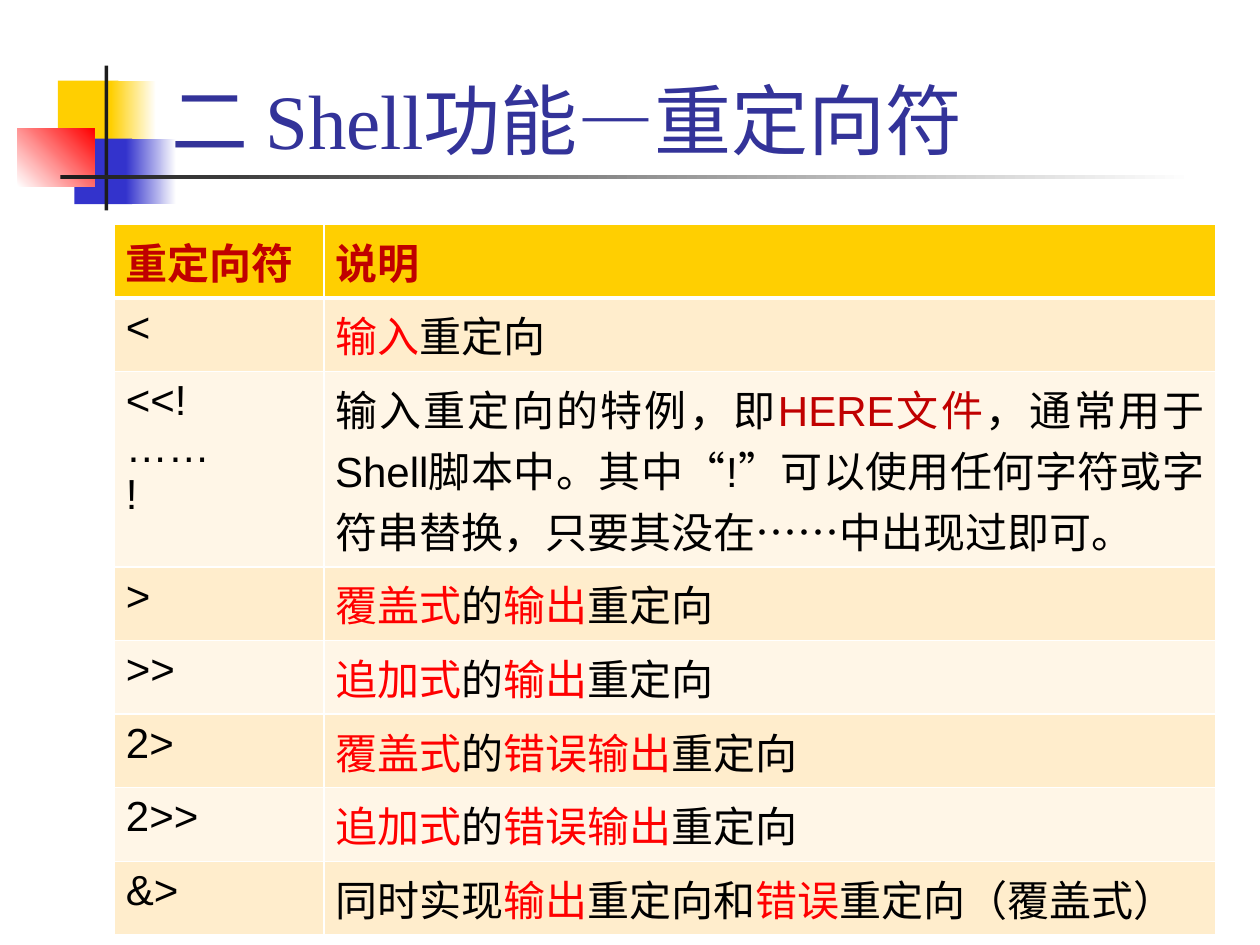
from lxml import etree
from pptx import Presentation, util as u
from pptx.dml.color import RGBColor
from pptx.enum import shapes, text
from pptx.oxml.ns import qn

HUES = dict(gold="FFCF01", blue="3333CC", red="FF0000", ink="1C1C1C",
            white="FFFFFF", title="333399", dark="C00000", black="000000",
            odd="FFEDCC", even="FFF6E7")
HEAD = ("重定向符", "说明")
# Text between asterisks is set in the accent colour.
ROWS = [
    ("<", "*输入*重定向"),
    ("<<!\n……\n!", "输入重定向的特例，即*HERE文件*，通常用于Shell脚本中。"
     "其中“!”可以使用任何字符或字符串替换，只要其没在……中出现过即可。"),
    (">", "*覆盖式*的*输出*重定向"),
    (">>", "*追加式*的*输出*重定向"),
    ("2>", "*覆盖式*的*错误输出*重定向"),
    ("2>>", "*追加式*的*错误输出*重定向"),
    ("&>", "同时实现*输出*重定向和*错误*重定向（覆盖式）"),
]
LONG = 2  # table row with the three-line entry


def rgb(name):
    return RGBColor.from_string(HUES[name])


def write(frame, words, size=24, face="Arial", hue="black", accent="red",
          bold=False, align=text.PP_ALIGN.LEFT):
    frame.word_wrap = True
    for i, line in enumerate(words.split("\n")):
        para = frame.paragraphs[0] if i == 0 else frame.add_paragraph()
        para.alignment = align
        for j, part in enumerate(line.split("*")):
            if part:
                run = para.add_run()
                run.text = part
                font = run.font
                font.size, font.name, font.bold = u.Pt(size), face, bold
                font.color.rgb = rgb(accent if j % 2 else hue)


def block(slide, box, hue, end=None, angle=0):
    """Borderless rectangle, solid or fading from hue to end."""
    shape = slide.shapes.add_shape(shapes.MSO_SHAPE.RECTANGLE,
                                   *map(u.Inches, box))
    shape.shadow.inherit = False
    shape.line.fill.background()
    if end is None:
        shape.fill.solid()
        shape.fill.fore_color.rgb = rgb(hue)
        return
    shape.fill.gradient()
    shape.fill.gradient_angle = angle
    for stop, name, pos in zip(shape.fill.gradient_stops, (hue, end), (0, 1)):
        stop.color.rgb = rgb(name)
        stop.position = pos


def motif(slide, x, y):
    """Coloured squares and crossed rules left of the title."""
    for dx, dy, w, h, *fill in (
            (0.32, 0.12, 0.48, 0.52, "gold"),
            (0.74, 0.12, 0.36, 0.52, "gold", "white"),
            (0.45, 0.58, 0.46, 0.52, "blue"),
            (0.86, 0.58, 0.4, 0.52, "blue", "white"),
            (0, 0.5, 0.61, 0.46, "white", "red", 45),
            (0.69, 0, 0.03, 1.15, "ink"),
            (0.34, 0.87, 9, 0.03, "ink", "white")):
        block(slide, (x + dx, y + dy, w, h), *fill)


def title(slide, x, y, w, h):
    frame = slide.shapes.add_textbox(*map(u.Inches, (x, y, w, h))).text_frame
    frame.vertical_anchor = text.MSO_ANCHOR.BOTTOM
    write(frame, "二 Shell功能—重定向符", size=44, face="Times New Roman",
          hue="title")


def edge(cell, side, width):
    line = etree.SubElement(cell._tc.get_or_add_tcPr(), qn("a:" + side),
                            w=str(u.Pt(width)))
    fill = etree.SubElement(line, qn("a:solidFill"))
    etree.SubElement(fill, qn("a:srgbClr"), val=HUES["white"])


def grid(slide, x, y, w, h):
    table = slide.shapes.add_table(len(ROWS) + 1, 2,
                                   *map(u.Inches, (x, y, w, h))).table
    first, tall = 1.66, 1.55
    short = (h - tall) / len(ROWS)
    for col, wide in zip(table.columns, (first, w - first)):
        col.width = u.Inches(wide)
    for r, pair in enumerate([HEAD] + ROWS):
        table.rows[r].height = u.Inches(tall if r == LONG else short)
        for c, words in enumerate(pair):
            cell = table.cell(r, c)
            cell.margin_left = cell.margin_right = u.Inches(0.09)
            cell.margin_top = cell.margin_bottom = u.Inches(0.05)
            for side in ("lnL", "lnR", "lnT", "lnB"):
                thick = (r, side) in ((0, "lnB"), (1, "lnT"))
                edge(cell, side, 3 if thick else 1)
            cell.fill.solid()
            cell.fill.fore_color.rgb = rgb(
                "gold" if r == 0 else "odd" if r % 2 else "even")
            write(cell.text_frame, words, bold=r == 0,
                  hue="black" if r else "dark",
                  accent="dark" if r == LONG else "red",
                  align=text.PP_ALIGN.JUSTIFY if r == LONG
                  else text.PP_ALIGN.LEFT)


def main():
    deck = Presentation()
    deck.slide_width, deck.slide_height = u.Inches(10), u.Inches(7.5)
    slide = deck.slides.add_slide(deck.slide_layouts[6])
    motif(slide, 0.14, 0.52)
    title(slide, 1.26, 0.21, 8.52, 1.15)
    grid(slide, 0.91, 1.78, 8.74, 5.64)
    deck.save("out.pptx")


if __name__ == "__main__":
    main()
